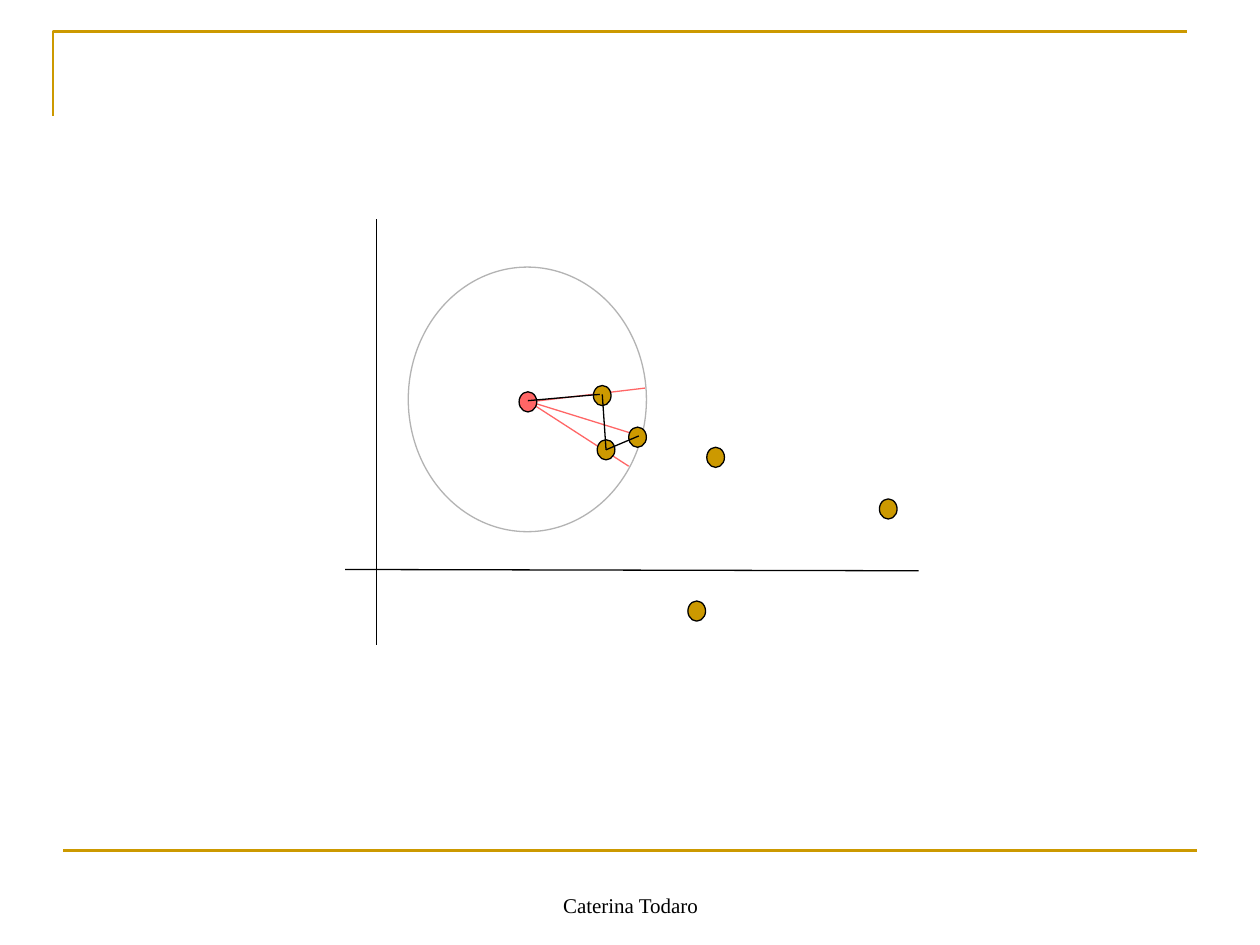
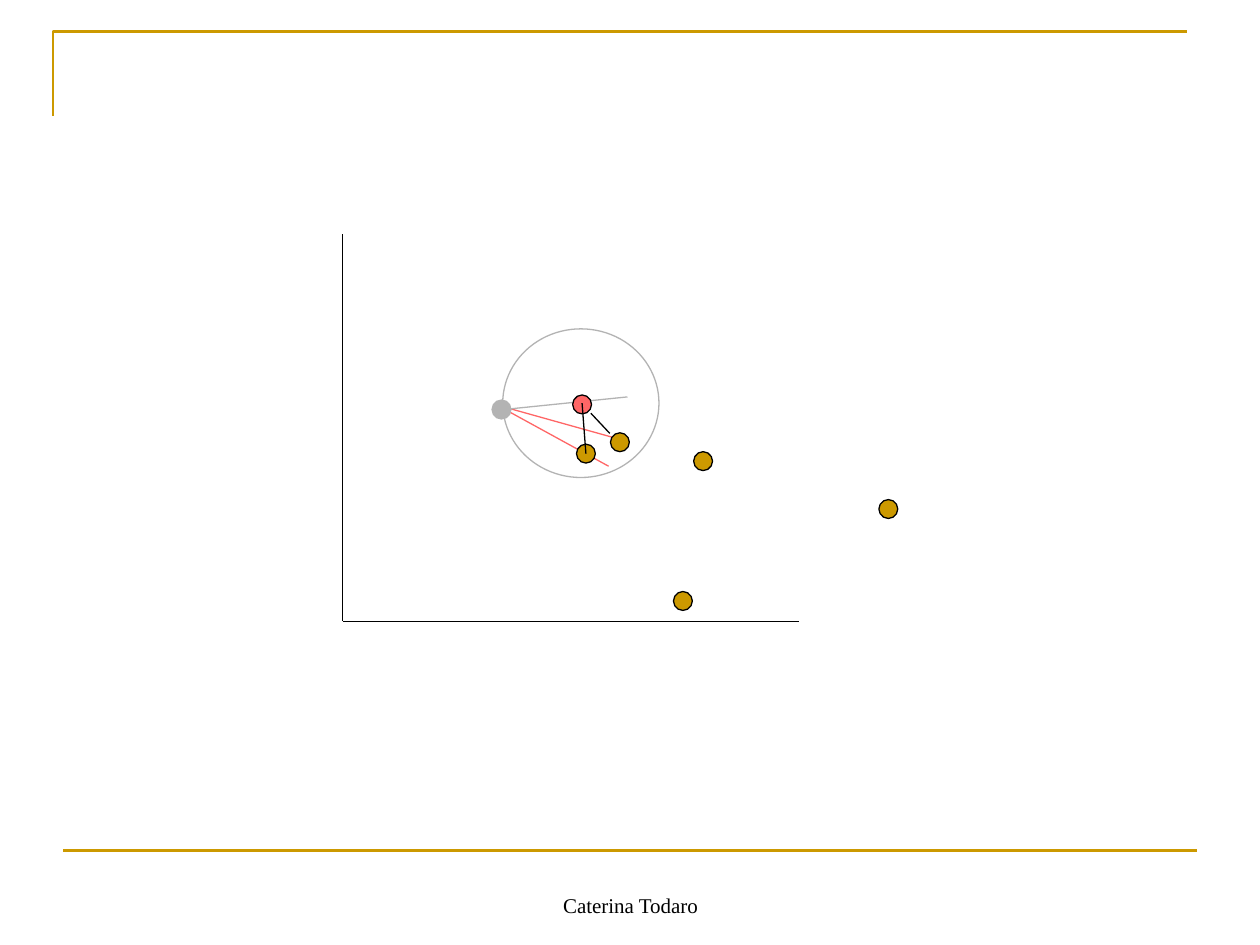
from lxml.etree import SubElement
from pptx import Presentation
from pptx.dml.color import RGBColor
from pptx.enum.shapes import MSO_CONNECTOR, MSO_SHAPE
from pptx.enum.text import MSO_ANCHOR, PP_ALIGN
from pptx.oxml.ns import qn
from pptx.util import Inches, Pt

COLORS = {
    "gold": "CC9900",
    "red": "FF6666",
    "gray": "B3B3B3",
    "black": "000000",
}
FONT = "Times New Roman"
FOOTER = "Caterina Todaro"
W, H = 10, 7.5

# Lengths in inches. Lines: (color, x1, y1, x2, y2).
# Dots: (fill, outline, centre x, centre y). Circle: left, top, width, height.
DIAGRAMS = [
    {
        "rays": [
            ("red", 4.2, 3.19, 5.12, 3.08),
            ("red", 4.2, 3.19, 4.99, 3.7),
            ("red", 4.21, 3.19, 5.08, 3.46),
        ],
        "circle": (3.24, 2.12, 1.89, 2.1),
        "dot_size": (0.14, 0.16),
        "dots": [
            ("red", "black", 4.19, 3.19),
            ("gold", "black", 4.78, 3.14),
            ("gold", "black", 5.68, 3.63),
            ("gold", "black", 5.53, 4.85),
            ("gold", "black", 4.81, 3.57),
            ("gold", "black", 5.06, 3.47),
            ("gold", "black", 7.05, 4.04),
        ],
        "links_and_axes": [
            ("black", 4.19, 3.18, 4.76, 3.13),
            ("black", 4.78, 3.13, 4.81, 3.57),
            ("black", 4.81, 3.57, 5.07, 3.46),
            ("black", 2.99, 1.74, 2.99, 5.12),
            ("black", 2.74, 4.52, 7.29, 4.53),
        ],
    },
    {
        "rays": [
            ("red", 3.99, 3.24, 4.83, 3.7),
            ("red", 4, 3.23, 4.93, 3.49),
            ("gray", 4, 3.25, 4.98, 3.15),
        ],
        "circle": (3.99, 2.61, 1.24, 1.18),
        "dot_size": (0.15, 0.15),
        "dots": [
            ("gray", "gray", 3.98, 3.25),
            ("red", "black", 4.62, 3.21),
            ("gold", "black", 5.58, 3.66),
            ("gold", "black", 5.42, 4.77),
            ("gold", "black", 4.65, 3.6),
            ("gold", "black", 4.92, 3.51),
            ("gold", "black", 7.05, 4.04),
        ],
        "links_and_axes": [
            ("black", 4.62, 3.2, 4.65, 3.6),
            ("black", 2.72, 1.86, 2.72, 4.93),
            ("black", 2.72, 4.93, 6.34, 4.93),
            ("black", 4.69, 3.28, 4.84, 3.44),
        ],
    },
]


def rgb(name):
    return RGBColor.from_string(COLORS[name])


def set_line(sp, color, width):
    sp.line.color.rgb = rgb(color)
    sp.line.width = Pt(width)


def add_line(s, color, *ends, width=0.75):
    sp = s.shapes.add_connector(MSO_CONNECTOR.STRAIGHT, *map(Inches, ends))
    set_line(sp, color, width)
    SubElement(sp._element.spPr, qn("a:effectLst"))


def add_ellipse(s, box, outline, fill=None):
    sp = s.shapes.add_shape(MSO_SHAPE.OVAL, *map(Inches, box))
    sp.shadow.inherit = False
    if fill:
        sp.fill.solid()
        sp.fill.fore_color.rgb = rgb(fill)
    else:
        sp.fill.background()
    set_line(sp, outline, 0.75)


def add_frame(s):
    """Draw the gold corner, the gold rule at the bottom and the footer."""
    left, top, right, bottom = 0.42, 0.25, W - 0.58, 0.92
    builder = s.shapes.build_freeform(Inches(left), Inches(bottom))
    corner = [(Inches(x), Inches(y)) for x, y in ((left, top), (right, top))]
    builder.add_line_segments(corner, close=False)
    sp = builder.convert_to_shape()
    sp.shadow.inherit = False
    sp.fill.background()
    set_line(sp, "gold", 1.5)

    add_line(s, "gold", 0.05 * W, 0.9 * H, 0.95 * W, 0.9 * H, width=1.5)

    tf = s.shapes.add_textbox(*map(Inches, (3.42, 6.83, 3.17, 0.5))).text_frame
    tf.word_wrap = True
    tf.vertical_anchor = MSO_ANCHOR.BOTTOM
    p = tf.paragraphs[0]
    p.text = FOOTER
    p.alignment = PP_ALIGN.CENTER
    p.font.name = FONT
    p.font.size = Pt(12)
    p.font.color.rgb = rgb("black")


def add_diagram(s, diagram):
    for line in diagram["rays"]:
        add_line(s, *line)
    add_ellipse(s, diagram["circle"], "gray")
    w, h = diagram["dot_size"]
    for fill, outline, x, y in diagram["dots"]:
        add_ellipse(s, (x - w / 2, y - h / 2, w, h), outline, fill)
    for line in diagram["links_and_axes"]:
        add_line(s, *line)


def main():
    prs = Presentation()
    prs.slide_width, prs.slide_height = Inches(W), Inches(H)
    blank = prs.slide_layouts[6]
    for diagram in DIAGRAMS:
        s = prs.slides.add_slide(blank)
        add_frame(s)
        add_diagram(s, diagram)
    prs.save("out.pptx")


if __name__ == "__main__":
    main()
